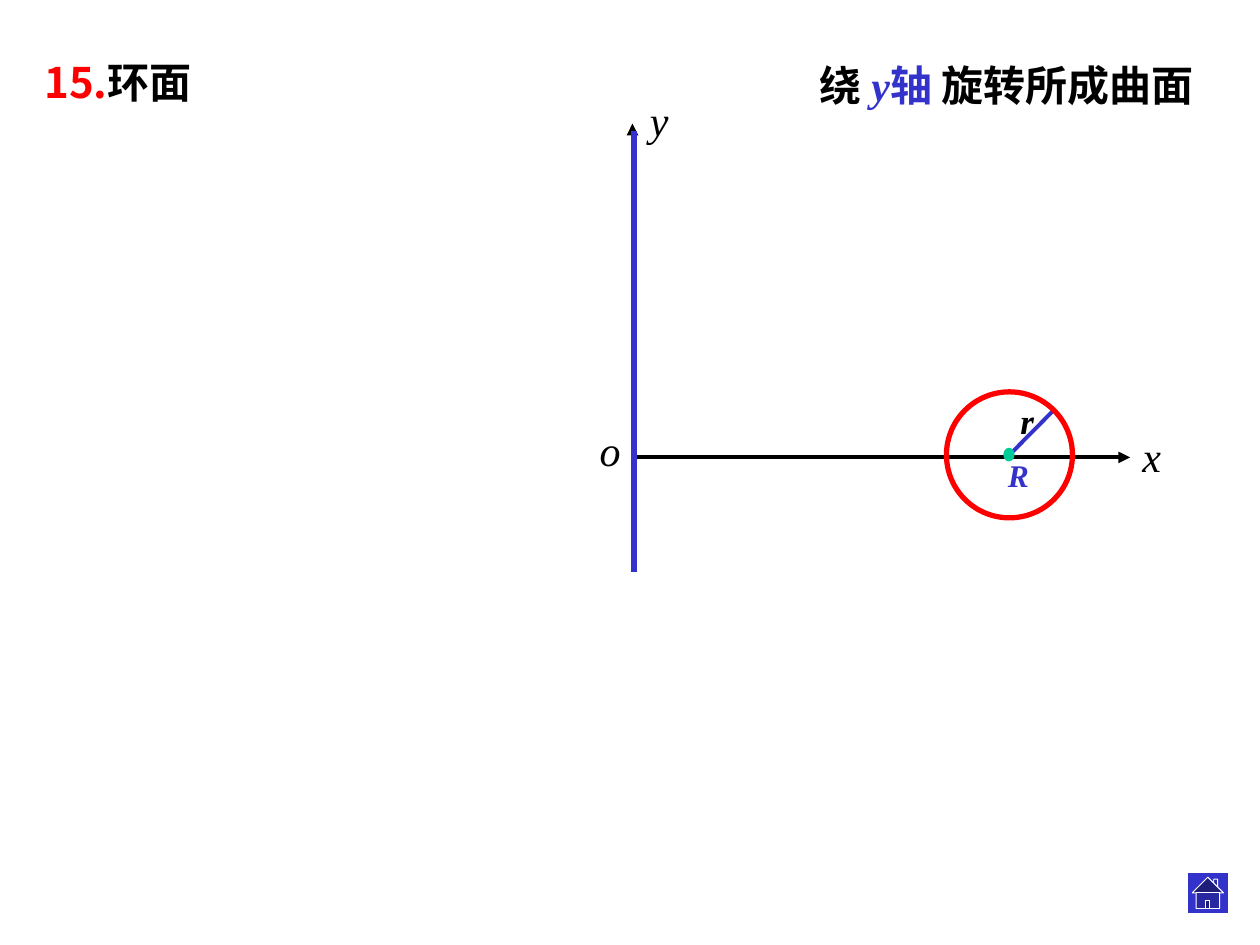
from lxml.etree import SubElement
from pptx import Presentation
from pptx.dml.color import RGBColor
from pptx.enum.shapes import MSO_CONNECTOR, MSO_SHAPE
from pptx.enum.text import MSO_ANCHOR, MSO_AUTO_SIZE, PP_ALIGN
from pptx.oxml.ns import qn
from pptx.util import Cm, Pt

COLORS = {
    "black": "000000",
    "white": "FFFFFF",
    "red": "FF0000",
    "blue": "3333CC",
    "green": "00CC99",
}
LATIN = "Times New Roman"
CJK = "Noto Sans CJK SC"


def color(name):
    return RGBColor.from_string(COLORS[name])


class SlideBuilder:
    """Holds the text style and the slide being drawn."""

    def __init__(self, slide, size=24):
        self.slide = slide
        self.size = size

    def place(self, shape, box):
        shape.left, shape.top, shape.width, shape.height = map(Cm, box)

    def add_runs(self, frame, parts, size=None):
        """Each part is (text, color, bold, italic, latin font)."""
        paragraph = frame.paragraphs[0]
        paragraph.alignment = PP_ALIGN.LEFT
        for text, tint, bold, italic, latin in parts:
            run = paragraph.add_run()
            run.text = text
            font = run.font
            font.name, font.size = latin, Pt(size or self.size)
            font.bold, font.italic = bold, italic
            font.color.rgb = color(tint)
            SubElement(run._r.get_or_add_rPr(), qn("a:ea")).set("typeface", CJK)

    def title(self, box, parts):
        title = self.slide.shapes.title
        self.place(title, box)
        title.text_frame.vertical_anchor = MSO_ANCHOR.MIDDLE
        self.add_runs(title.text_frame, parts)

    def text(self, box, parts, size=None, group=None):
        frame = (group or self.slide).shapes.add_textbox(*map(Cm, box)).text_frame
        frame.word_wrap = True
        frame.auto_size = MSO_AUTO_SIZE.SHAPE_TO_FIT_TEXT
        self.add_runs(frame, parts, size)

    def symbol(self, letter, box, tint="black", bold=False, size=None, group=None):
        self.text(box, [(letter, tint, bold, True, LATIN)], size, group)

    def line(self, start, end, tint, width, arrow=False, group=None):
        connector = (group or self.slide).shapes.add_connector(
            MSO_CONNECTOR.STRAIGHT, *map(Cm, start + end))
        connector.line.color.rgb = color(tint)
        connector.line.width = Pt(width)
        properties = connector._element.spPr
        if arrow:
            SubElement(properties.find(qn("a:ln")), qn("a:tailEnd")).set("type", "triangle")
        SubElement(properties, qn("a:effectLst"))

    def shape(self, kind, box, outline, width, fill=None, group=None):
        shape = (group or self.slide).shapes.add_shape(kind, *map(Cm, box))
        shape.shadow.inherit = False
        if fill:
            shape.fill.solid()
            shape.fill.fore_color.rgb = color(fill)
        else:
            shape.fill.background()
        shape.line.color.rgb = color(outline)
        shape.line.width = Pt(width)

    def group(self):
        return self.slide.shapes.add_group_shape()


def main():
    presentation = Presentation()
    presentation.slide_width, presentation.slide_height = Cm(25.4), Cm(19.05)
    slide = presentation.slides.add_slide(presentation.slide_layouts[5])
    builder = SlideBuilder(slide)

    # Heading
    builder.title((0.64, 0.97, 4.06, 1.35), [
        ("15.", "red", True, False, CJK),
        ("环面", "black", True, False, LATIN),
    ])

    # Coordinate axes with their labels
    axes = builder.group()
    builder.line((12.75, 11.53), (12.75, 2.49), "black", 2.25, arrow=True, group=axes)
    builder.symbol("y", (12.85, 1.78, 1.42, 1.27), group=axes)
    builder.symbol("x", (22.78, 8.56, 1.09, 1.27), group=axes)
    builder.line((12.73, 9.22), (22.78, 9.22), "black", 2.25, arrow=True, group=axes)
    builder.symbol("o", (11.84, 8.43, 0.66, 1.27), group=axes)

    # Generating circle with its radius and centre
    builder.line((20.35, 9.17), (21.23, 8.28), "blue", 2.25)
    circle = builder.group()
    builder.shape(MSO_SHAPE.OVAL, (20.24, 9.04, 0.2, 0.25), "green", 0.75, "green", circle)
    builder.shape(MSO_SHAPE.OVAL, (19.08, 7.9, 2.54, 2.54), "red", 3, group=circle)
    builder.symbol("r", (20.32, 7.92, 0.79, 1.09), bold=True, size=20)
    builder.symbol("R", (20.07, 9.07, 1.07, 1.02), "blue", bold=True, size=18)

    # Axis of rotation
    builder.line((12.78, 11.53), (12.78, 2.64), "blue", 3)
    builder.text((16.28, 1.07, 9.12, 1.27), [
        ("绕 ", "black", True, False, LATIN),
        ("y", "blue", True, True, LATIN),
        ("轴", "blue", True, False, LATIN),
        (" 旋转所成曲面", "black", True, False, LATIN),
    ])

    # Home button
    builder.shape(MSO_SHAPE.ACTION_BUTTON_HOME, (23.93, 17.58, 0.84, 0.84), "white", 0.5, "blue")

    presentation.save("out.pptx")


if __name__ == "__main__":
    main()
